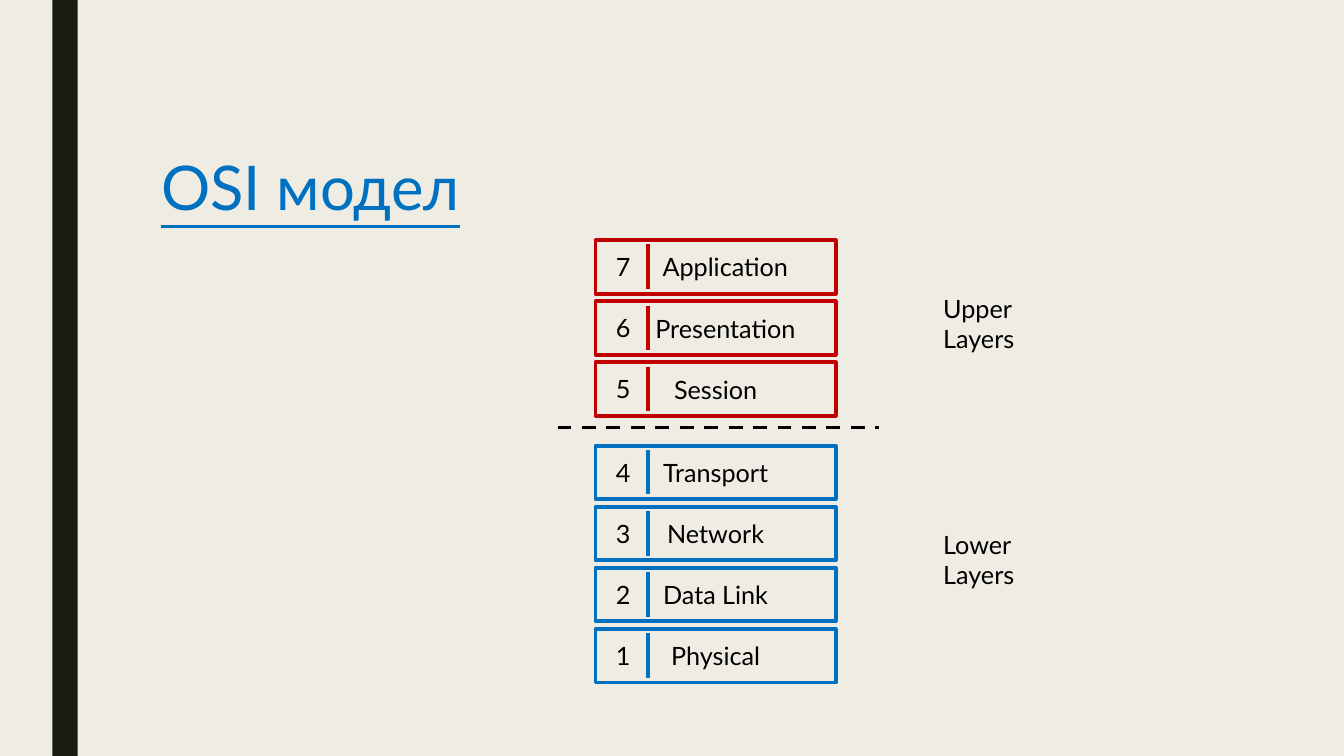
from pptx import Presentation
from pptx.dml.color import RGBColor as Rgb
from pptx.enum.dml import MSO_LINE as Dash
from pptx.enum.shapes import MSO_CONNECTOR as Link, MSO_SHAPE as Kind
from pptx.enum.text import MSO_ANCHOR as Anchor, PP_ALIGN as Align
from pptx.oxml.ns import qn
from pptx.util import Cm, Pt
from lxml import etree

COLORS = {"back": "EFEDE3", "bar": "191B0E", "blue": "0070C0",
          "red": "C00000", "black": "000000"}


class Deck:
    font = "Lato"
    size = 18

    def __init__(self, wide, high):
        self.file = Presentation()
        self.file.slide_width, self.file.slide_height = Cm(wide), Cm(high)
        self.page = self.file.slides.add_slide(self.file.slide_layouts[6])
        fill = self.page.background.fill
        fill.solid()
        fill.fore_color.rgb = self.color("back")

    def color(self, name):
        return Rgb.from_string(COLORS[name])

    def label(self, frame, lines, size=None, color="black", align=Align.LEFT):
        for i, line in enumerate(lines):
            para = frame.paragraphs[0] if i == 0 else frame.add_paragraph()
            para.alignment = align
            run = para.add_run()
            run.text = line
            run.font.name = self.font
            run.font.size = Pt(size or self.size)
            run.font.color.rgb = self.color(color)

    def text(self, x, y, wide, high, lines, wrap=False, **style):
        box = self.page.shapes.add_textbox(Cm(x), Cm(y), Cm(wide), Cm(high))
        box.text_frame.word_wrap = wrap
        self.label(box.text_frame, lines, **style)
        return box.text_frame

    def title(self, x, y, wide, high, words):
        frame = self.text(x, y, wide, high, [words], True, size=44, color="blue")
        para = frame.paragraphs[0]
        para.line_spacing = 0.89
        para.runs[0].font.underline = True

    def rect(self, x, y, wide, high, fill=None, edge=None):
        box = self.page.shapes.add_shape(
            Kind.RECTANGLE, Cm(x), Cm(y), Cm(wide), Cm(high))
        box.shadow.inherit = False
        if fill:
            box.fill.solid()
            box.fill.fore_color.rgb = self.color(fill)
        else:
            box.fill.background()
        if edge:
            box.line.color.rgb = self.color(edge)
            box.line.width = Pt(2.75)
        else:
            box.line.fill.background()
        return box

    def line(self, x, y, x2, y2, color, dash=None):
        line = self.page.shapes.add_connector(
            Link.STRAIGHT, Cm(x), Cm(y), Cm(x2), Cm(y2))
        line.line.color.rgb = self.color(color)
        line.line.width = Pt(2.5)
        if dash:
            line.line.dash_style = dash
        etree.SubElement(line._element.spPr, qn("a:effectLst"))

    def layer(self, y, number, name, color, inset):
        frame = self.rect(15.01, y, 6.05, 1.35, edge=color).text_frame
        frame.vertical_anchor = Anchor.MIDDLE
        frame.margin_left = Cm(inset)
        self.label(frame, [name], align=Align.CENTER)
        self.line(16.33, y + 0.11, 16.33, y + 1.23, color)
        self.text(15.27, y + 0.16, 0.86, 1.02, [str(number)])


def main():
    deck = Deck(33.87, 19.05)
    deck.rect(1.32, 0, 0.64, 19.05, fill="bar")
    deck.title(3.81, 3.86, 27.69, 4.11, "OSI модел")

    step, plain, wide = 1.54, 0.25, 0.74
    groups = [
        ("Upper", 7.26, 6.05, 7, "red",
         [("Application", wide), ("Presentation", wide), ("Session", plain)]),
        ("Lower", 13.21, 11.23, 4, "blue",
         [("Transport", plain), ("Network", plain),
          ("Data Link", plain), ("Physical", plain)]),
    ]
    for part, mid, top, first, color, layers in groups:
        for i, (name, inset) in enumerate(layers):
            deck.layer(top + i * step, first - i, name, color, inset)
        deck.text(23.52, mid, 2.36, 1.8, [part, "Layers"])
    deck.line(14.05, 10.77, 22.15, 10.77, "black", Dash.DASH)
    deck.file.save("out.pptx")


if __name__ == "__main__":
    main()
